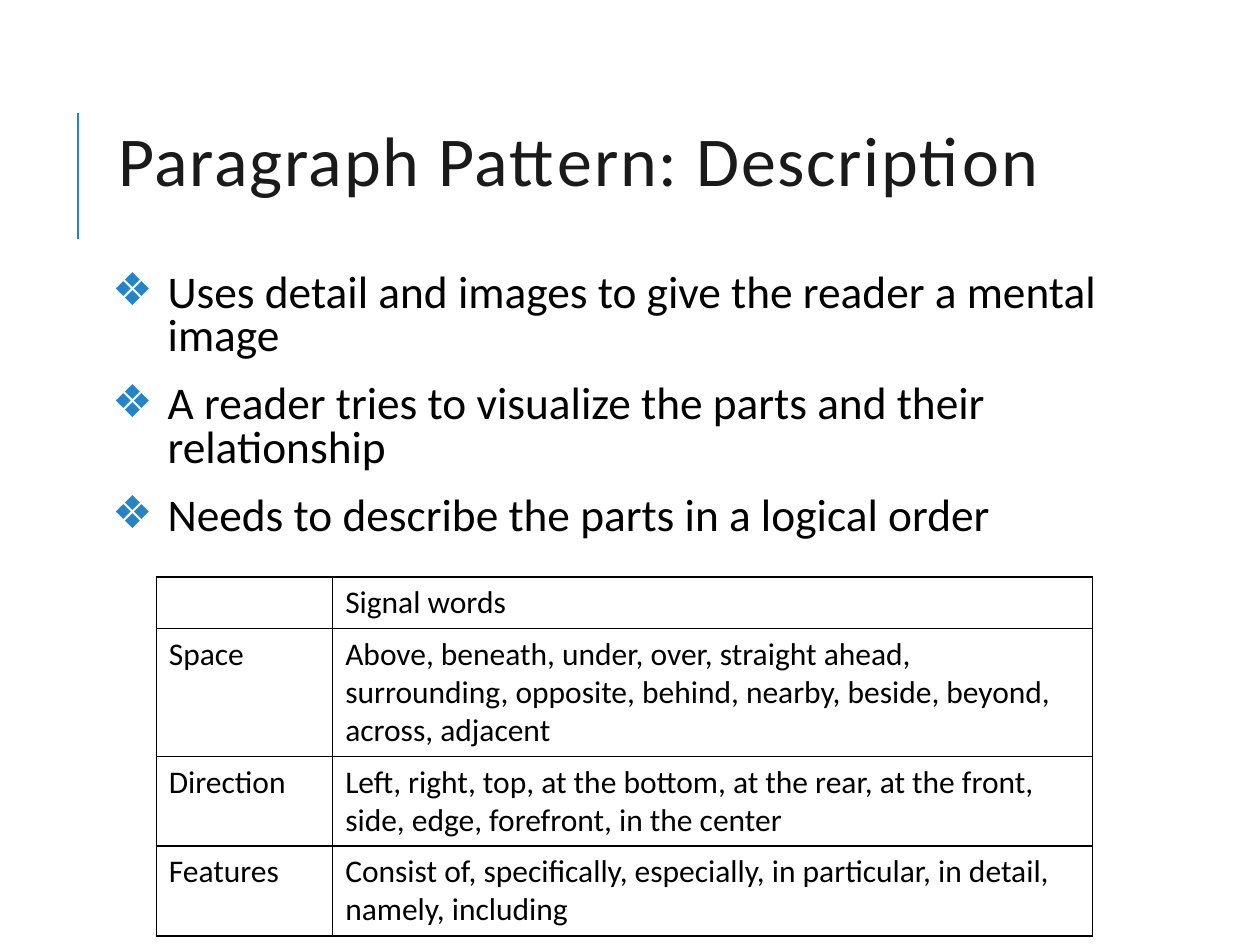
from dataclasses import dataclass

from lxml import etree
from pptx import Presentation
from pptx import util as u
from pptx.dml.color import RGBColor
from pptx.enum import shapes, text
from pptx.oxml import ns

FONT = "Calibri"
ACCENT = RGBColor(0x26, 0x83, 0xC6)
TITLE_INK = RGBColor(0x1A, 0x1A, 0x1A)
BLACK = RGBColor(0, 0, 0)


@dataclass
class SignalRow:
    label: str
    words: str


BULLETS = [
    "Uses detail and images to give the reader a mental image",
    "A reader tries to visualize the parts and their relationship",
    "Needs to describe the parts in a logical order",
]
ROWS = [
    SignalRow("", "Signal words"),
    SignalRow("Space", "Above, beneath, under, over, straight ahead, surrounding, opposite, "
              "behind, nearby, beside, beyond, across, adjacent"),
    SignalRow("Direction", "Left, right, top, at the bottom, at the rear, at the front, "
              "side, edge, forefront, in the center"),
    SignalRow("Features", "Consist of, specifically, especially, in particular, in detail, "
              "namely, including"),
]


def add_element(parent, tag: str, **attrs: str):
    return etree.SubElement(parent, ns.qn(tag), attrs)


def write(p, content: str, *, size: float, color: RGBColor = BLACK,
          align=text.PP_ALIGN.LEFT, line=None, before=None, after=None, tracking=None):
    """Fill a paragraph with one formatted run."""
    p.alignment = align
    if line is not None:
        p.line_spacing = line
    if before is not None:
        p.space_before = u.Pt(before)
    if after is not None:
        p.space_after = u.Pt(after)
    r = p.add_run()
    r.text = content
    r.font.name, r.font.size, r.font.color.rgb = FONT, u.Pt(size), color
    if tracking is not None:
        r.font._element.set("spc", str(tracking * 100))


def place(sp, left: float, top: float, width: float, height: float) -> None:
    sp.left, sp.top = u.Inches(left), u.Inches(top)
    sp.width, sp.height = u.Inches(width), u.Inches(height)


def add_bullet(p, char: str, indent: float) -> None:
    pPr = p._p.get_or_add_pPr()
    pPr.set("marL", str(u.Inches(indent)))
    pPr.set("indent", str(-u.Inches(indent)))
    add_element(add_element(pPr, "a:buClr"), "a:srgbClr", val=str(ACCENT))
    add_element(pPr, "a:buChar", char=char)


def add_borders(cell, color: RGBColor, width: float) -> None:
    tcPr = cell._tc.get_or_add_tcPr()
    for i, side in enumerate(("a:lnL", "a:lnR", "a:lnT", "a:lnB")):
        ln = etree.Element(ns.qn(side), w=str(u.Pt(width)))
        add_element(add_element(ln, "a:solidFill"), "a:srgbClr", val=str(color))
        tcPr.insert(i, ln)


def add_signal_table(s, rows: list[SignalRow]) -> None:
    row_height = 0.41
    table = s.shapes.add_table(len(rows), 2, u.Inches(1.24), u.Inches(4.58),
                               u.Inches(7.43), u.Inches(row_height * len(rows))).table
    table.first_row = table.horz_banding = False
    for column, width in zip(table.columns, (1.4, 6.03)):
        column.width = u.Inches(width)
    for i, row in enumerate(rows):
        table.rows[i].height = u.Inches(row_height)
        for j, content in enumerate((row.label, row.words)):
            cell = table.cell(i, j)
            cell.fill.background()
            add_borders(cell, BLACK, 1)
            if content:
                write(cell.text_frame.paragraphs[0], content, size=18)


def main() -> None:
    prs = Presentation()
    prs.slide_width, prs.slide_height = u.Inches(10), u.Inches(7.5)
    s = prs.slides.add_slide(prs.slide_layouts[1])
    title, body = s.placeholders

    # Accent rule beside the title
    rule = s.shapes.add_connector(shapes.MSO_CONNECTOR.STRAIGHT, u.Inches(0.62), u.Inches(1.9),
                                  u.Inches(0.62), u.Inches(0.9))
    rule.line.color.rgb, rule.line.width = ACCENT, u.Pt(1.5)
    add_element(rule._element.spPr, "a:effectLst")

    # Title
    place(title, 0.84, 0.64, 7.97, 1.36)
    tf = title.text_frame
    tf.auto_size, tf.vertical_anchor = text.MSO_AUTO_SIZE.NONE, text.MSO_ANCHOR.MIDDLE
    write(tf.paragraphs[0], "Paragraph Pattern: Description", size=40, color=TITLE_INK,
          line=0.8, tracking=1)

    # Bullet list
    place(body, 0.84, 2.12, 7.97, 2.32)
    tf = body.text_frame
    tf.auto_size = text.MSO_AUTO_SIZE.NONE
    tf.margin_left = tf.margin_right = tf.margin_top = tf.margin_bottom = u.Inches(0.05)
    for i, item in enumerate(BULLETS):
        p = tf.add_paragraph() if i else tf.paragraphs[0]
        write(p, item, size=25.9, line=0.8, before=12, after=2)
        add_bullet(p, "❖", 0.44)

    # Signal words
    add_signal_table(s, ROWS)
    prs.save("out.pptx")


if __name__ == "__main__":
    main()
